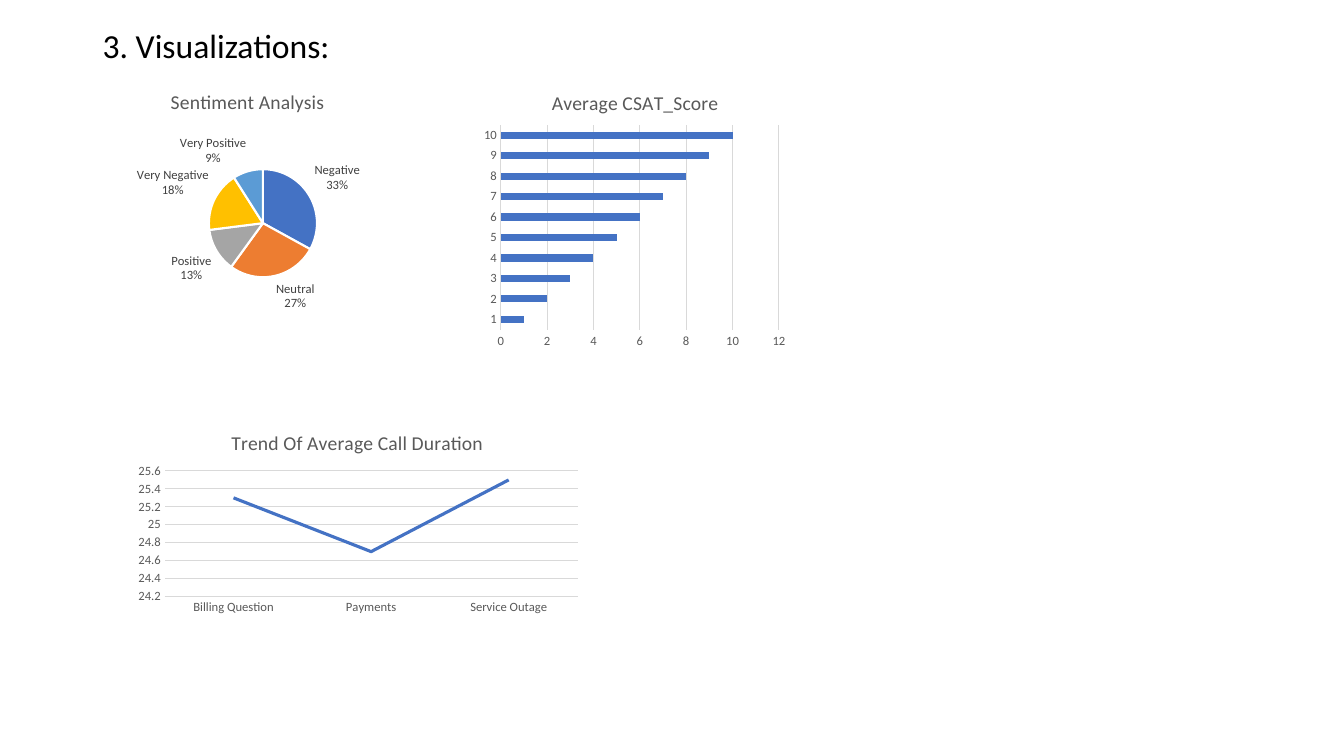
import pptx
import pptx.chart.data
import pptx.dml.color
import pptx.enum.chart
import pptx.oxml
import pptx.oxml.ns
import pptx.util
from pptx.util import Inches

FONT = "Calibri"
BLUE = "4472C4"
GRAY = "595959"
GRID = "D9D9D9"
SLICE_COLORS = [BLUE, "ED7D31", "A5A5A5", "FFC000", "5B9BD5"]


def color(value):
    return pptx.dml.color.RGBColor.from_string(value)


def style_font(font, size, value):
    font.name = FONT
    font.size = pptx.util.Pt(size)
    font.bold = False
    font.color.rgb = color(value)


def style_line(line, value, width):
    line.color.rgb = color(value)
    line.width = pptx.util.Pt(width)


def add_heading(slide, text):
    shape = slide.shapes.add_textbox(Inches(0.92), Inches(0.24), Inches(11.5), Inches(6.51))
    shape.text_frame.word_wrap = True
    paragraph = shape.text_frame.paragraphs[0]
    paragraph.line_spacing = 0.9
    paragraph.space_before = pptx.util.Pt(10)
    run = paragraph.add_run()
    run.text = text
    style_font(run.font, 24, "000000")


def place_plot(chart, fractions):
    plot_area = chart._chartSpace.chart.plotArea
    for layout in plot_area.findall(pptx.oxml.ns.qn("c:layout")):
        plot_area.remove(layout)
    sizes = "".join(f'<c:{name} val="{value}"/>' for name, value in zip("xywh", fractions))
    plot_area.insert(0, pptx.oxml.parse_xml(
        f'<c:layout {pptx.oxml.ns.nsdecls("c")}><c:manualLayout>'
        '<c:layoutTarget val="inner"/><c:xMode val="edge"/><c:yMode val="edge"/>'
        f'{sizes}</c:manualLayout></c:layout>'))


def add_chart(slide, kind, title, position, plot_fractions, categories, values):
    data = pptx.chart.data.CategoryChartData()
    data.categories = categories
    data.add_series("Series 1", values)
    box = [Inches(length) for length in position]
    chart = slide.shapes.add_chart(kind, *box, data).chart
    style_font(chart.font, 10, "000000")
    chart.has_legend = False
    chart.has_title = True
    chart.chart_title.include_in_layout = False
    run = chart.chart_title.text_frame.paragraphs[0].add_run()
    run.text = title
    style_font(run.font, 14, GRAY)
    place_plot(chart, plot_fractions)
    chart.plots[0].vary_by_categories = kind == pptx.enum.chart.XL_CHART_TYPE.PIE
    return chart


def style_axes(chart, minimum, maximum, step):
    for axis in (chart.category_axis, chart.value_axis):
        axis.major_tick_mark = pptx.enum.chart.XL_TICK_MARK.NONE
        axis.minor_tick_mark = pptx.enum.chart.XL_TICK_MARK.NONE
        style_font(axis.tick_labels.font, 9, GRAY)
    style_line(chart.category_axis.format.line, GRID, 0.75)
    axis = chart.value_axis
    axis.format.line.fill.background()
    axis.has_major_gridlines = True
    style_line(axis.major_gridlines.format.line, GRID, 0.75)
    axis.minimum_scale = minimum
    axis.maximum_scale = maximum
    axis.major_unit = step


def add_sentiment_chart(slide):
    chart = add_chart(
        slide, pptx.enum.chart.XL_CHART_TYPE.PIE, "Sentiment Analysis",
        (0.54, 0.74, 3.83, 2.5), (0.4, 0.37, 0.28, 0.44),
        ["Negative", "Neutral", "Positive", "Very Negative", "Very Positive"],
        [33, 27, 13, 18, 9])
    for index, value in enumerate(SLICE_COLORS):
        slice_format = chart.series[0].points[index].format
        slice_format.fill.solid()
        slice_format.fill.fore_color.rgb = color(value)
        style_line(slice_format.line, "FFFFFF", 1.5)
    labels = chart.series[0].data_labels
    labels.show_value = False
    labels.show_category_name = True
    labels.show_percentage = True
    labels.position = pptx.enum.chart.XL_LABEL_POSITION.BEST_FIT
    style_font(labels.font, 9, "404040")
    separator = pptx.oxml.parse_xml(
        f'<c:separator {pptx.oxml.ns.nsdecls("c")}>\n</c:separator>')
    labels._element.find(pptx.oxml.ns.qn("c:showBubbleSize")).addnext(separator)


def add_score_chart(slide):
    scores = range(1, 11)
    chart = add_chart(
        slide, pptx.enum.chart.XL_CHART_TYPE.BAR_CLUSTERED, "Average CSAT_Score",
        (4.75, 0.74, 3.1, 2.78), (0.07, 0.18, 0.89, 0.73),
        [str(score) for score in scores], scores)
    style_axes(chart, 0, 12, 2)
    chart.plots[0].gap_width = 182
    fill = chart.series[0].format.fill
    fill.solid()
    fill.fore_color.rgb = color(BLUE)


def add_duration_chart(slide):
    chart = add_chart(
        slide, pptx.enum.chart.XL_CHART_TYPE.LINE, "Trend Of Average Call Duration",
        (1.27, 4.13, 4.55, 2.01), (0.08, 0.27, 0.9, 0.62),
        ["Billing Question", "Payments", "Service Outage"], [25.3, 24.7, 25.5])
    style_axes(chart, 24.2, 25.6, 0.2)
    series = chart.series[0]
    series.smooth = False
    series.marker.style = pptx.enum.chart.XL_MARKER_STYLE.NONE
    style_line(series.format.line, BLUE, 2.25)


def main():
    presentation = pptx.Presentation()
    presentation.slide_width = Inches(13.33)
    presentation.slide_height = Inches(7.5)
    slide = presentation.slides.add_slide(presentation.slide_layouts[6])
    add_heading(slide, "3. Visualizations:")
    add_sentiment_chart(slide)
    add_score_chart(slide)
    add_duration_chart(slide)
    presentation.save("out.pptx")


if __name__ == "__main__":
    main()
